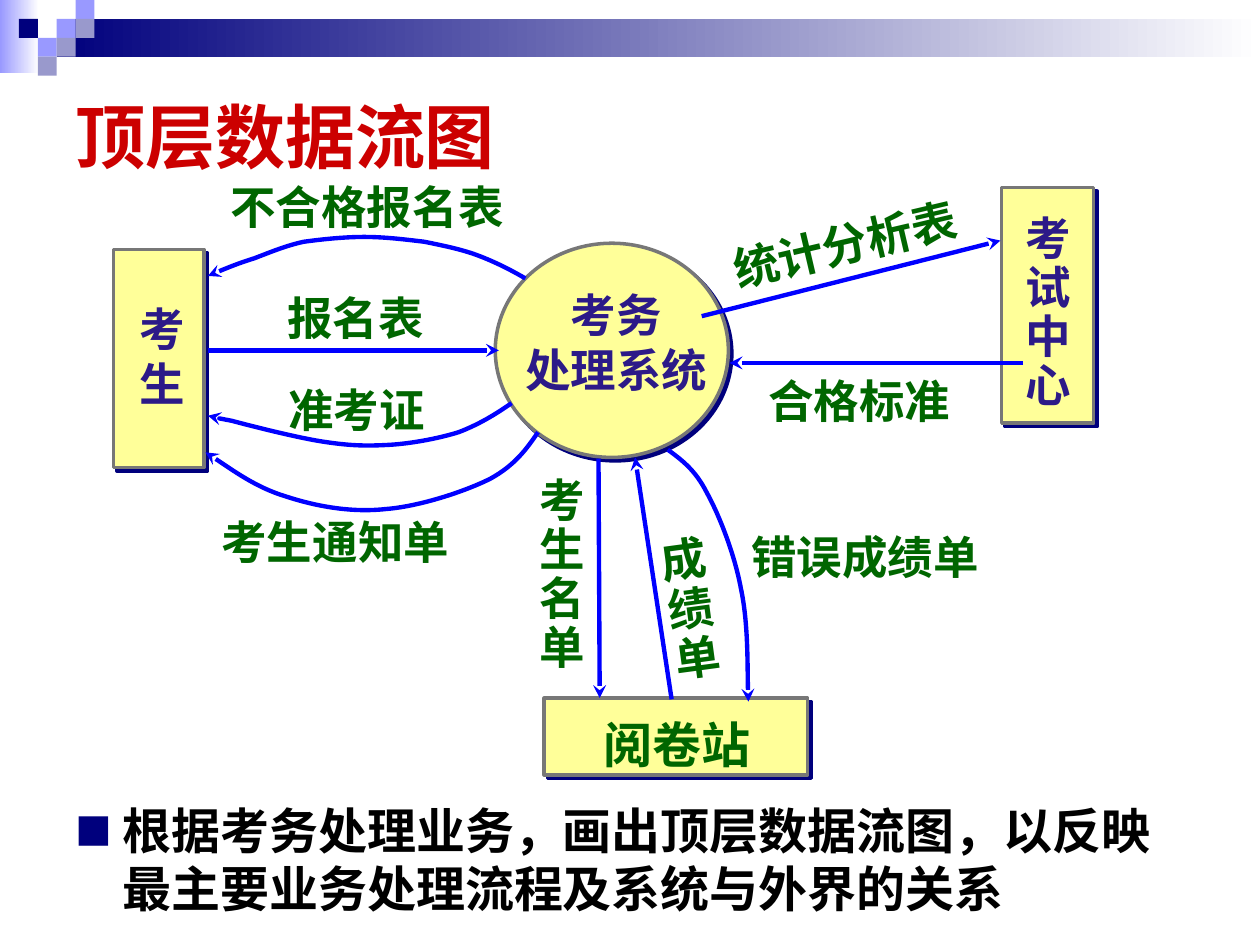
from lxml.etree import SubElement
from pptx import Presentation
from pptx.dml.color import RGBColor
from pptx.enum.shapes import MSO_CONNECTOR, MSO_SHAPE
from pptx.enum.text import MSO_ANCHOR, PP_ALIGN
from pptx.oxml.ns import qn
from pptx.util import Pt

COLORS = {
    "navy": "00007D", "lilac": "9999FF", "gray_lilac": "9999CC", "white": "FFFFFF",
    "red": "CC0000", "blue": "0000FF", "yellow": "FFFF99", "border": "777777",
    "indigo": "2C1A88", "green": "006600", "black": "000000",
}
CJK = "Noto Sans CJK SC"
SERIF = "Times New Roman"
TILE = 10.8

GRADIENTS = [("lilac", (0, 0, 22.3, 41.8)), ("navy", (32.4, 10.8, 687.6, 21.6))]
TILES = [
    ("lilac", 3, 1), ("lilac", 4, 0), ("gray_lilac", 4, 1), ("lilac", 2, 2),
    ("navy", 1, 1), ("gray_lilac", 3, 2), ("gray_lilac", 2, 3),
]
NODES = [
    (MSO_SHAPE.RECTANGLE, (64.8, 142.6, 51.8, 124.6)),
    (MSO_SHAPE.OVAL, (283, 139, 133.2, 122.4)),
    (MSO_SHAPE.RECTANGLE, (572.4, 107.3, 52.6, 134.6)),
    (MSO_SHAPE.RECTANGLE, (311, 398.9, 150.5, 43.9)),
]
ARROWS = [
    ((584.6, 207.4), (416.9, 207.4)),
    ((401, 180.7), (571.7, 137.5)),
    ((118.8, 200.2), (285.1, 200.2)),
    ((342, 262.1), (342.7, 398.9)),
    ((383.8, 399.6), (362.9, 261.4)),
]
CURVES = [
    [(300.2, 159.1), (291.6, 154.1), (283, 149.8), (273.6, 146.2),
     (264.2, 142.6), (253.4, 140.4), (242.6, 138.2),
     (231.1, 136.8), (219.6, 135.4), (208.1, 135.4),
     (196.6, 135.4), (183.6, 136.8), (173.5, 138.2),
     (163.4, 140.4), (154.8, 144), (145.4, 147.6),
     (136.1, 150.5), (123.8, 155.5), (118.8, 157.7)],
    [(292.3, 230.4), (283, 236.9), (273.6, 242.6), (262.1, 247),
     (250.6, 250.6), (235.4, 253.4), (223.2, 254.2),
     (210.2, 254.9), (201.6, 254.9), (186.5, 252.7),
     (171.4, 250.6), (143.3, 243.4), (132.5, 240.5),
     (121, 238.3), (121, 238.3), (118.8, 237.6)],
    [(307.4, 247), (301, 256.3), (294.5, 265.7), (280.1, 273.6),
     (265.7, 280.8), (239.8, 289.4), (220.3, 290.9),
     (200.9, 293), (180.7, 289.4), (163.4, 283.7),
     (146.2, 278.6), (124.6, 262.8), (117.4, 258.5)],
    [(381.6, 257), (389.5, 262.8), (397.4, 268.6), (403.9, 281.5),
     (411.1, 294.5), (419.8, 316.8), (423.4, 336.2),
     (427.7, 356.4), (427, 390.2), (427.7, 401)],
]
LABELS = [
    (["考", "生"], (72.7, 166.3, 43.9, 69.8), {"color": "indigo"}),
    (["考务", "处理系统"], (284.4, 158.4, 135.4, 69.8), {"color": "indigo", "center": True}),
    (["考", "试", "中", "心"], (578.9, 117.4, 43.9, 119.5), {"color": "indigo", "spacing": 0.9}),
    (["阅卷站"], (337.7, 402.5, 100, 41), {"size": 28, "font": SERIF}),
    (["不合格报名表"], (124.6, 96.5, 210.2, 38.2), {}),
    (["报名表"], (157, 159.8, 98.6, 38.2), {}),
    (["准考证"], (157.7, 212.4, 136.1, 38.2), {}),
    (["考生通知单"], (119.5, 288, 187.2, 38.2), {}),
    (["成", "绩", "单"], (374.4, 300.2, 51.1, 91.4), {"spacing": 0.9, "rotation": -7.8}),
    (["合格标准"], (432, 207.4, 130.3, 38.2), {}),
    (["错误成绩单"], (417.6, 299.5, 153.4, 35.3), {"spacing": 0.9, "center": True}),
    (["考生名", "单"], (301, 267.1, 51.1, 119.5), {"spacing": 0.9}),
    (["统计分析表"], (409.7, 114.5, 175.7, 38.2), {"rotation": -13.2}),
]
TITLE = "顶层数据流图"
BODY = "根据考务处理业务，画出顶层数据流图，以反映最主要业务处理流程及系统与外界的关系"


def rgb(name):
    return RGBColor.from_string(COLORS[name])


def add_box(kind, box, fill=None):
    sp = slide.shapes.add_shape(kind, *map(Pt, box))
    sp.shadow.inherit = False
    sp.line.fill.background()
    if fill:
        sp.fill.solid()
        sp.fill.fore_color.rgb = rgb(fill)
    return sp


def add_text(lines, box, size=26, font=CJK, color="green", spacing=1,
             center=False, rotation=0, anchor=MSO_ANCHOR.TOP):
    sp = slide.shapes.add_textbox(*map(Pt, box))
    sp.rotation = rotation
    tf = sp.text_frame
    tf.word_wrap = True
    tf.vertical_anchor = anchor
    tf.margin_top = Pt(3.6 + 0.08 * size)
    for i, line in enumerate(lines):
        p = tf.paragraphs[0] if i == 0 else tf.add_paragraph()
        p.alignment = PP_ALIGN.CENTER if center else PP_ALIGN.LEFT
        p.line_spacing = Pt(round(1.2 * size * spacing, 1))
        r = p.add_run()
        r.text = line
        r.font.size = Pt(size)
        r.font.bold = True
        r.font.name = font
        r.font.color.rgb = rgb(color)
        SubElement(r.font._element, qn("a:ea"), typeface=CJK)
    return tf


def style_arrow(sp):
    sp.line.color.rgb = rgb("blue")
    sp.line.width = Pt(2.5)
    SubElement(sp.line._get_or_add_ln(), qn("a:tailEnd"), type="stealth")


def add_curve(points):
    start, *rest = [(Pt(x), Pt(y)) for x, y in points]
    fb = slide.shapes.build_freeform(*start)
    fb.add_line_segments(rest, close=False)
    sp = fb.convert_to_shape()
    segments = list(sp._element.iter(qn("a:lnTo")))
    outline = segments[0].getparent()
    for i in range(0, len(segments), 3):
        bezier = SubElement(outline, qn("a:cubicBezTo"))
        for segment in segments[i:i + 3]:
            bezier.append(segment[0])
            outline.remove(segment)
    sp.fill.background()
    style_arrow(sp)
    sp.shadow.inherit = False


prs = Presentation()
prs.slide_width, prs.slide_height = Pt(720), Pt(540)
slide = prs.slides.add_slide(prs.slide_layouts[6])

for color, box in GRADIENTS:
    sp = add_box(MSO_SHAPE.RECTANGLE, box)
    sp.fill.gradient()
    sp.fill.gradient_angle = 0
    for stop, name, position in zip(sp.fill.gradient_stops, (color, "white"), (0, 1)):
        stop.color.rgb = rgb(name)
        stop.position = position
for color, col, row in TILES:
    add_box(MSO_SHAPE.RECTANGLE, (col * TILE, row * TILE, TILE, TILE), color)

add_text([TITLE], (36, 38, 648, 75.6), size=40, font=SERIF, color="red",
         anchor=MSO_ANCHOR.MIDDLE)

for kind, box in NODES:
    sp = add_box(kind, box, "yellow")
    sp.line.color.rgb = rgb("border")
    sp.line.width = Pt(2)
    effects = sp._element.spPr.find(qn("a:effectLst"))
    shadow = SubElement(effects, qn("a:outerShdw"), dist=str(Pt(2.8)),
                        dir=str(45 * 60000), algn="ctr", rotWithShape="0")
    SubElement(shadow, qn("a:srgbClr"), val=COLORS["navy"])

for start, end in ARROWS:
    cxn = slide.shapes.add_connector(MSO_CONNECTOR.STRAIGHT, *map(Pt, start + end))
    style_arrow(cxn)
    SubElement(cxn._element.spPr, qn("a:effectLst"))
for points in CURVES:
    add_curve(points)
for lines, box, style in LABELS:
    add_text(lines, box, **style)

tf = add_text([BODY], (36, 451.4, 648, 79.2), size=28, font=SERIF, color="black")
pPr = tf.paragraphs[0]._p.get_or_add_pPr()
pPr.set("marL", str(Pt(27)))
pPr.set("indent", str(Pt(-27)))
SubElement(SubElement(pPr, qn("a:buClr")), qn("a:srgbClr"), val=COLORS["navy"])
SubElement(pPr, qn("a:buSzPct"), val="75000")
SubElement(pPr, qn("a:buFont"), typeface=CJK)
SubElement(pPr, qn("a:buChar"), char="■")

prs.save("out.pptx")
